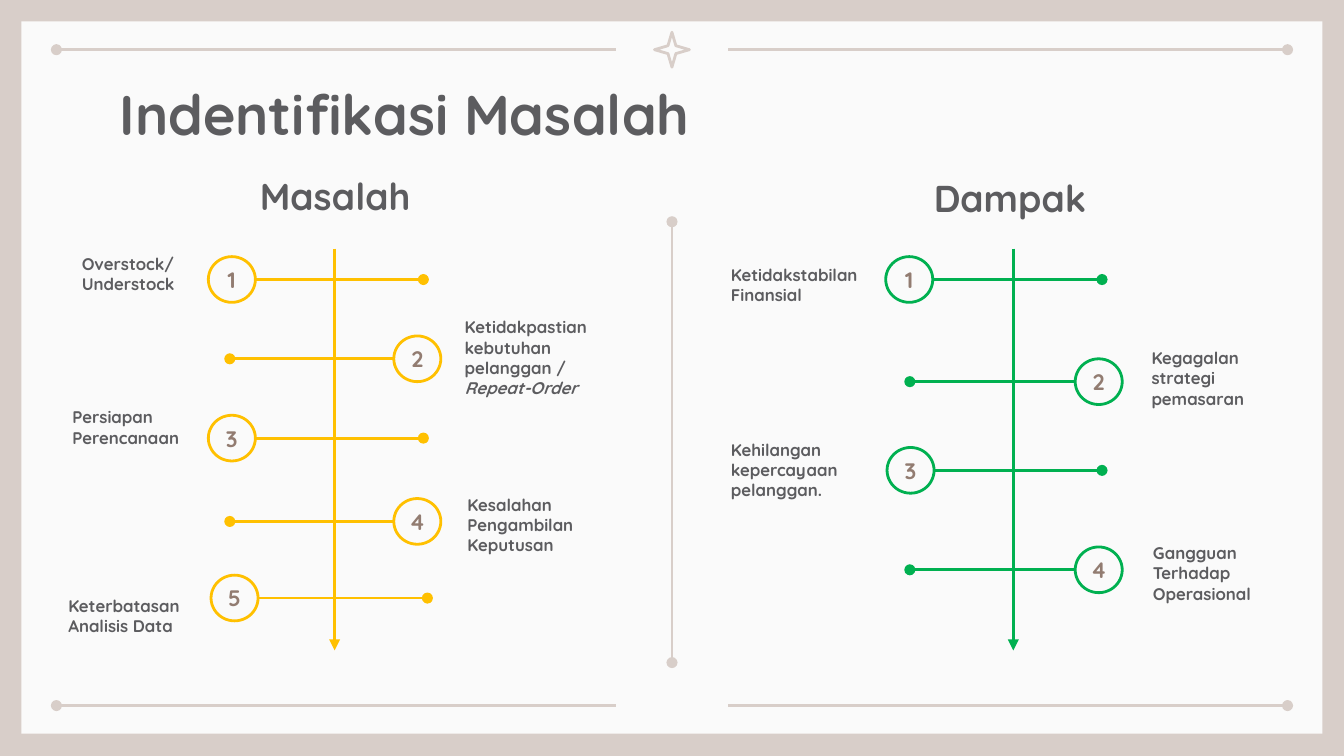
from lxml.etree import SubElement
from pptx import Presentation
from pptx.dml.color import RGBColor
from pptx.enum.shapes import MSO_CONNECTOR, MSO_SHAPE
from pptx.enum.text import MSO_ANCHOR, MSO_AUTO_SIZE, PP_ALIGN
from pptx.oxml.ns import qn
from pptx.util import Inches, Pt

COLORS = {
    "frame": "D8CEC9",
    "paper": "FAFAFA",
    "text": "5C5C5F",
    "number": "927C71",
    "problem": "FFC000",
    "impact": "00B050",
}
COLORS = {name: RGBColor.from_string(value) for name, value in COLORS.items()}

# Widescreen page, 16:9
deck = Presentation()
deck.slide_width = Inches(10)
deck.slide_height = Inches(10 * 9 / 16)
page = deck.slides.add_slide(deck.slide_layouts[5])
page.background.fill.solid()
page.background.fill.fore_color.rgb = COLORS["frame"]


def add_line(start, end, color, head=None, tail=None):
    points = [Inches(value) for value in (*start, *end)]
    line = page.shapes.add_connector(MSO_CONNECTOR.STRAIGHT, *points)
    line.line.color.rgb = COLORS[color]
    line.line.width = Pt(1.5)
    properties = line._element.spPr
    outline = properties.find(qn("a:ln"))
    for tag, kind in (("a:headEnd", head), ("a:tailEnd", tail)):
        if kind:
            SubElement(outline, qn(tag), type=kind)
    SubElement(properties, qn("a:effectLst"))


def write_text(shape, spans, size, color="text", align=PP_ALIGN.LEFT,
               anchor=MSO_ANCHOR.BOTTOM, side_inset=0.1):
    frame = shape.text_frame
    settings = {
        "word_wrap": True,
        "auto_size": MSO_AUTO_SIZE.NONE,
        "vertical_anchor": anchor,
        "margin_left": Inches(side_inset),
        "margin_right": Inches(side_inset),
        "margin_top": Inches(0.1),
        "margin_bottom": Inches(0.1),
    }
    for name, value in settings.items():
        setattr(frame, name, value)
    para = frame.paragraphs[0]
    para.alignment = align
    for text, italic in spans:
        span = para.add_run()
        span.text = text
        font = {"name": "Quicksand", "size": Pt(size), "bold": True, "italic": italic}
        for name, value in font.items():
            setattr(span.font, name, value)
        span.font.color.rgb = COLORS[color]


# Paper and decorative frame
paper = page.shapes.add_shape(
    MSO_SHAPE.RECTANGLE, Inches(0.16), Inches(0.16), Inches(9.68), Inches(5.3))
paper.shadow.inherit = False
paper.fill.solid()
paper.fill.fore_color.rgb = COLORS["paper"]
paper.line.fill.background()

for y in (0.37, 5.25):
    add_line((0.42, y), (4.58, y), "frame", head="oval")
    add_line((5.42, y), (9.58, y), "frame", tail="oval")

star = page.shapes.add_shape(
    MSO_SHAPE.STAR_4_POINT, Inches(4.87), Inches(0.24), Inches(0.26), Inches(0.26))
star.adjustments[0] = 0.16
star.shadow.inherit = False
star.fill.background()
star.line.color.rgb = COLORS["frame"]
star.line.width = Pt(1.5)

# Title, brought in front of the paper
title = page.shapes.title
title.left, title.top = Inches(0.79), Inches(0.49)
title.width, title.height = Inches(8.43), Inches(0.63)
write_text(title, [("Indentifikasi Masalah", None)], 30, anchor=MSO_ANCHOR.TOP)
page.shapes._spTree.append(title._element)

# Divider between the two timelines
add_line((5, 1.65), (5, 4.93), "frame", head="oval", tail="oval")

# Timelines: each step has circle left and top, bar end, label left, top, width, text
timelines = [
    ("Masalah", "problem", (1.66, 1.31), 2.49, [
        (1.55, 1.91, 3.15, 0.51, 1.8, 1.02, [("Overstock/ Understock", None)]),
        (2.93, 2.5, 1.71, 3.36, 2.57, 1.14,
         [("Ketidakpastian kebutuhan pelanggan / ", None), ("Repeat-Order", True)]),
        (1.55, 3.09, 3.15, 0.44, 2.94, 1.08, [("Persiapan Perencanaan", None)]),
        (2.93, 3.71, 1.71, 3.38, 3.74, 1.08,
         [("Kesalahan Pengambilan Keputusan", None)]),
        (1.57, 4.28, 3.18, 0.41, 4.34, 1.08, [("Keterbatasan Analisis Data", None)]),
    ]),
    ("Dampak", "impact", (6.68, 1.33), 7.54, [
        (6.59, 1.91, 8.2, 5.34, 1.88, 1.17, [("Ketidakstabilan Finansial", None)]),
        (8, 2.67, 6.77, 8.47, 2.65, 1.17, [("Kegagalan strategi pemasaran", None)]),
        (6.6, 3.33, 8.2, 5.34, 3.33, 1.17,
         [("Kehilangan kepercayaan pelanggan.", None)]),
        (8, 4.07, 6.77, 8.48, 4.1, 1.02, [("Gangguan Terhadap Operasional", None)]),
    ]),
]
circle_width, circle_height = 0.35, 0.34

for heading, color, (heading_left, heading_top), axis, steps in timelines:
    heading_box = page.shapes.add_textbox(
        Inches(heading_left), Inches(heading_top), Inches(1.67), Inches(0.41))
    write_text(heading_box, [(heading, None)], 20, align=PP_ALIGN.CENTER)
    add_line((axis, 1.85), (axis, 4.84), color, tail="triangle")

    for number, step in enumerate(steps, start=1):
        left, top, bar_end, label_left, label_top, label_width, spans = step
        circle = page.shapes.add_shape(
            MSO_SHAPE.OVAL, Inches(left), Inches(top),
            Inches(circle_width), Inches(circle_height))
        circle.shadow.inherit = False
        circle.fill.background()
        circle.line.color.rgb = COLORS[color]
        circle.line.width = Pt(1.5)
        write_text(circle, [(str(number), None)], 12, "number", PP_ALIGN.CENTER,
                   MSO_ANCHOR.MIDDLE, side_inset=0)

        # The bar leaves the circle on the side that faces the axis
        bar_start = left + circle_width if left < axis else left
        middle = top + circle_height / 2
        add_line((bar_start, middle), (bar_end, middle), color, tail="oval")

        label = page.shapes.add_textbox(
            Inches(label_left), Inches(label_top), Inches(label_width), Inches(0.49))
        write_text(label, spans, 9)

deck.save("out.pptx")
